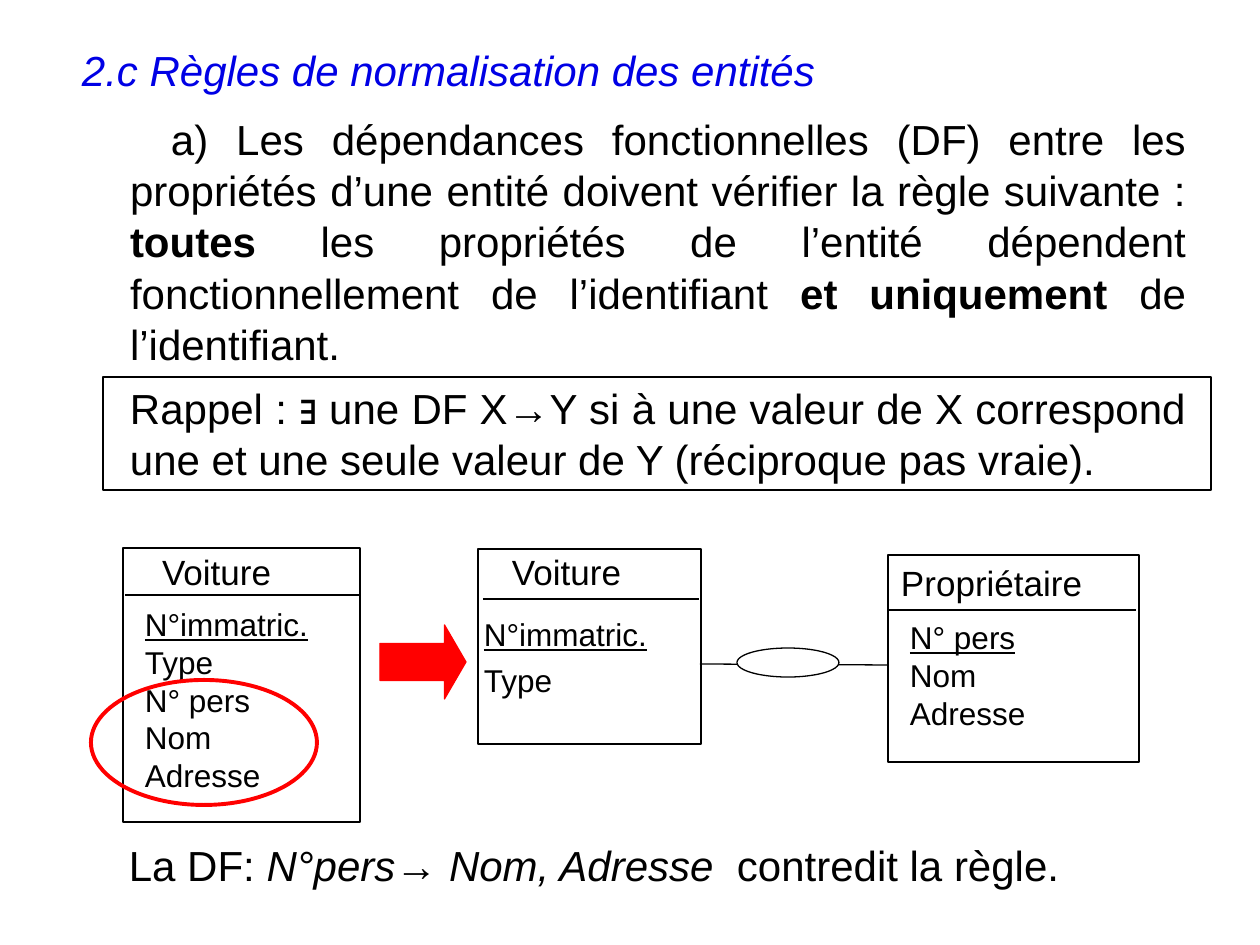
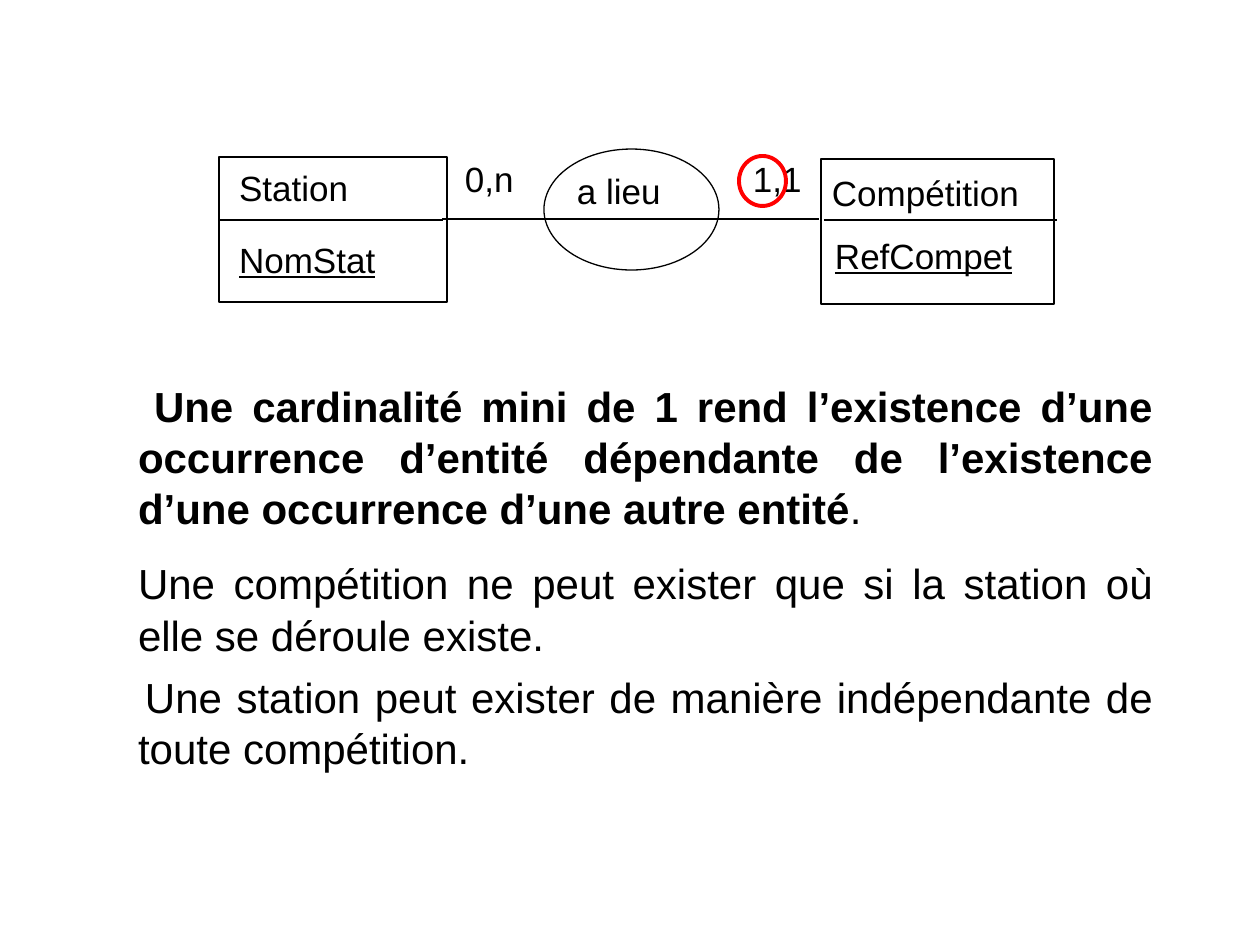
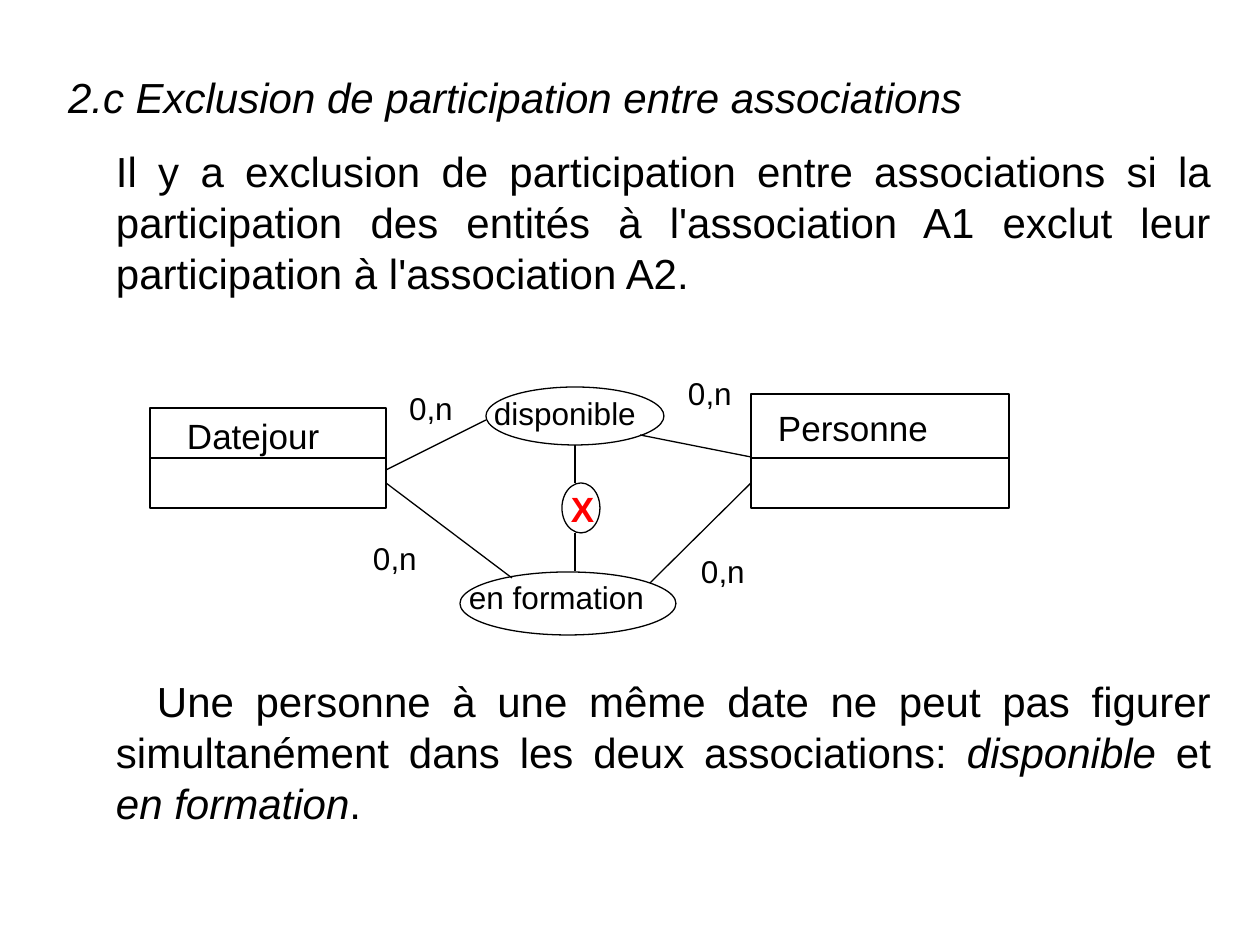
import pptx
import pptx.dml.color
import pptx.enum.shapes
import pptx.enum.text
import pptx.oxml.ns
import pptx.util

COLORS = {"ink": "000000", "title": "0000E5", "alert": "FF0000", "paper": "FFFFFF"}
FONT = "Arial"
PX = 914400 // 126
INSETS = (13, 6, 13, 6)
TITLE_ONLY, BLANK = 5, 6
BODY_SIZE, BODY_LINE = 24, 29.4
LABEL_LINE = 1.2
SHAPES = pptx.enum.shapes.MSO_SHAPE
ALIGN = pptx.enum.text.PP_ALIGN


def px(*lengths):
    """Turn pixel lengths into EMU."""
    return [pptx.util.Emu(n * PX) for n in lengths]


def rgb(name):
    """Look up a palette colour."""
    return pptx.dml.color.RGBColor.from_string(COLORS[name])


def prepare(tf, insets=INSETS):
    """Give a text frame its insets, wrapping and top anchor."""
    tf.word_wrap = True
    tf.auto_size = pptx.enum.text.MSO_AUTO_SIZE.NONE
    tf.vertical_anchor = pptx.enum.text.MSO_ANCHOR.TOP
    tf.margin_left, tf.margin_top, tf.margin_right, tf.margin_bottom = px(*insets)


def style_run(r, size, color="ink", marks=""):
    """Format a run; marks holds any of the letters b, i and u."""
    f = r.font
    f.name, f.size, f.color.rgb = FONT, pptx.util.Pt(size), rgb(color)
    f.bold, f.italic, f.underline = "b" in marks, "i" in marks, "u" in marks


def write(p, runs, size, line, color="ink", align=ALIGN.LEFT, indent=0, before=0):
    """Fill one paragraph with (text, marks) runs."""
    p._p.get_or_add_pPr().set("indent", str(indent * PX))
    p.alignment, p.line_spacing = align, pptx.util.Pt(line)
    p.space_before = pptx.util.Pt(before)
    for text, marks in runs:
        r = p.add_run()
        r.text = text
        style_run(r, size, color, marks)


def add_title(slide, x, y, text, color):
    """Place the slide title in its placeholder."""
    sp = slide.shapes.title
    sp.left, sp.top, sp.width, sp.height = px(x, y, 1130, 64)
    prepare(sp.text_frame)
    write(sp.text_frame.paragraphs[0], [(text, "i")], BODY_SIZE, BODY_SIZE * LABEL_LINE, color)


def fill_body(tf, paragraphs):
    """Write justified paragraphs given as (indent, space before, runs)."""
    for i, (indent, before, runs) in enumerate(paragraphs):
        p = tf.add_paragraph() if i else tf.paragraphs[0]
        write(p, runs, BODY_SIZE, BODY_LINE, align=ALIGN.JUSTIFY, indent=indent, before=before)


def add_body(slide, box, paragraphs):
    """Add a text box of justified paragraphs."""
    tf = slide.shapes.add_textbox(*px(*box)).text_frame
    prepare(tf)
    fill_body(tf, paragraphs)


def add_label(slide, x, y, lines, size=20, color="ink", marks="", gap=0):
    """Add short lines of text, as wide as the longest one needs."""
    width = 30 + max(map(len, lines)) * size
    height = 13 + round(len(lines) * size * 2.1)
    tf = slide.shapes.add_textbox(*px(x, y, width, height)).text_frame
    prepare(tf)
    for i, text in enumerate(lines):
        p = tf.add_paragraph() if i else tf.paragraphs[0]
        line_marks = marks if i == 0 else ""
        write(p, [(text, line_marks)], size, size * LABEL_LINE, color, before=gap if i else 0)


def add_figure(slide, kind, box, fill="paper", line="ink", weight=0.75):
    """Add an outlined preset shape, unfilled when fill is None."""
    sp = slide.shapes.add_shape(kind, *px(*box))
    sp.shadow.inherit = False
    if fill:
        sp.fill.solid()
        sp.fill.fore_color.rgb = rgb(fill)
    else:
        sp.fill.background()
    sp.line.color.rgb, sp.line.width = rgb(line), pptx.util.Pt(weight)
    return sp


def add_line(slide, x1, y1, x2, y2):
    """Add a thin straight line."""
    kind = pptx.enum.shapes.MSO_CONNECTOR.STRAIGHT
    c = slide.shapes.add_connector(kind, *px(x1, y1, x2, y2))
    c.line.color.rgb, c.line.width = rgb("ink"), pptx.util.Pt(0.75)
    spPr = c._element.spPr
    spPr.append(spPr.makeelement(pptx.oxml.ns.qn("a:effectLst"), {}))


def add_entity(slide, box, name, name_at, rule, attributes=(), attributes_at=(0, 0), size=18, gap=0):
    """Draw an entity: frame, name, rule (x, y, width) and attributes, identifier first."""
    x, y = box[:2]
    rule_x, rule_y, rule_w = rule
    add_figure(slide, SHAPES.RECTANGLE, box)
    add_line(slide, x + rule_x, y + rule_y, x + rule_x + rule_w, y + rule_y)
    add_label(slide, x + name_at[0], y + name_at[1], [name])
    if attributes:
        add_label(slide, x + attributes_at[0], y + attributes_at[1], attributes, size, marks="u", gap=gap)


def add_association(slide, box, name, name_at, size=18, color="ink", marks=""):
    """Draw an association oval with its name."""
    add_figure(slide, SHAPES.OVAL, box)
    add_label(slide, box[0] + name_at[0], box[1] + name_at[1], [name], size, color, marks)


def add_highlight(slide, box):
    """Circle something in red."""
    add_figure(slide, SHAPES.OVAL, box, None, "alert", 2.25)


def add_reminder(slide, box):
    """Draw the framed reminder on functional dependencies."""
    tf = add_figure(slide, SHAPES.RECTANGLE, box, None).text_frame
    prepare(tf, (27, 4, 25, 4))
    text = "Rappel : ∃ une DF X→Y si à une valeur de X correspond une et une seule valeur de Y (réciproque pas vraie)."
    fill_body(tf, [(-4, 0, [(text, "")])])


def build_normalisation(prs):
    """Build the slide on entity normalisation rules."""
    slide = prs.slides.add_slide(prs.slide_layouts[TITLE_ONLY])
    add_title(slide, 69, 38, "2.c Règles de normalisation des entités", "title")
    add_body(slide, (117, 106, 1082, 270), [(41, 0, [
        ("a) Les dépendances fonctionnelles (DF) entre les propriétés d’une entité doivent vérifier la règle suivante : ", ""),
        ("toutes", "b"),
        (" les propriétés de l’entité dépendent fonctionnellement de l’identifiant ", ""),
        ("et uniquement", "b"),
        (" de l’identifiant.", "")])])
    add_reminder(slide, (103, 377, 1108, 113))

    car, owner = ["N°immatric.", "Type"], ["N° pers", "Nom", "Adresse"]
    add_entity(slide, (123, 548, 237, 274), "Voiture", (26, -4), (2, 47, 234),
               car + owner, (9, 51))
    add_entity(slide, (478, 549, 223, 195), "Voiture", (21, -5), (5, 50, 216),
               car, (-7, 60), gap=4.5)
    add_entity(slide, (888, 555, 251, 207), "Propriétaire", (0, 0), (0, 55, 248),
               owner, (9, 57))
    add_line(slide, 700, 664, 887, 665)
    add_figure(slide, SHAPES.OVAL, (737, 648, 102, 29))
    arrow = add_figure(slide, SHAPES.RIGHT_ARROW, (380, 625, 86, 74), "alert", "alert")
    arrow.adjustments[1] = 0.29
    add_highlight(slide, (91, 680, 226, 125))

    tf = slide.shapes.add_textbox(*px(116, 834, 1089, 63)).text_frame
    prepare(tf)
    write(tf.paragraphs[0],
          [("La DF: ", ""), ("N°pers→ Nom, Adresse ", "i"), (" contredit la règle.", "")],
          BODY_SIZE, BODY_SIZE * LABEL_LINE)


def build_cardinality(prs):
    """Build the slide on a minimum cardinality of 1."""
    slide = prs.slides.add_slide(prs.slide_layouts[BLANK])
    add_entity(slide, (219, 157, 228, 145), "Station", (7, 4), (0, 63, 224),
               ["NomStat"], (7, 75), 20)
    add_entity(slide, (821, 159, 233, 145), "Compétition", (-2, 6), (3, 61, 233),
               ["RefCompet"], (1, 69), 20)
    add_association(slide, (544, 149, 175, 121), "a lieu", (20, 14), 20)
    add_line(slide, 442, 219, 819, 219)
    for x, text in ((452, "0,n"), (740, "1,1")):
        add_label(slide, x, 151, [text])
    add_highlight(slide, (739, 156, 47, 50))
    add_body(slide, (125, 373, 1041, 420), [
        (16, 0, [
            ("Une cardinalité mini de 1 rend l’existence d’une occurrence d’entité dépendante de l’existence d’une occurrence d’une autre entité", "b"),
            (".", "")]),
        (0, 13.5, [("Une compétition ne peut exister que si la station où elle se déroule existe.", "")]),
        (7, 6, [("Une station peut exister de manière indépendante de toute compétition.", "")])])


def build_exclusion(prs):
    """Build the slide on exclusion between associations."""
    slide = prs.slides.add_slide(prs.slide_layouts[TITLE_ONLY])
    add_title(slide, 55, 65, "2.c Exclusion de participation entre associations", "ink")
    add_body(slide, (103, 138, 1121, 170), [(-5, 0, [
        ("Il y a exclusion de participation entre associations si la participation des entités à l'association A1 exclut leur participation à l'association A2.", "")])])

    add_entity(slide, (150, 408, 236, 100), "Datejour", (24, 0), (0, 50, 236))
    add_entity(slide, (751, 394, 258, 114), "Personne", (14, 7), (0, 64, 259))
    add_association(slide, (486, 387, 178, 58), "disponible", (-5, 1))
    add_association(slide, (460, 572, 216, 63), "en formation", (-4, 0))
    add_association(slide, (562, 483, 38, 50), "X", (-4, -2), 20, "alert", "b")
    for ends in ((386, 470, 486, 420), (386, 483, 512, 578), (640, 435, 751, 457),
                 (650, 583, 751, 483), (575, 445, 575, 483), (575, 533, 575, 571)):
        add_line(slide, *ends)
    for x, y in ((396, 383), (360, 533), (688, 546), (675, 368)):
        add_label(slide, x, y, ["0,n"], 18)

    add_body(slide, (103, 668, 1121, 170), [(41, 0, [
        ("Une personne à une même date ne peut pas figurer simultanément dans les deux associations:", ""),
        (" disponible", "i"), (" et ", ""), ("en formation", "i"), (".", "")])])


def main():
    """Build and save the presentation."""
    prs = pptx.Presentation()
    prs.slide_width, prs.slide_height = px(1260, 945)
    build_normalisation(prs)
    build_cardinality(prs)
    build_exclusion(prs)
    prs.save("out.pptx")


if __name__ == "__main__":
    main()
